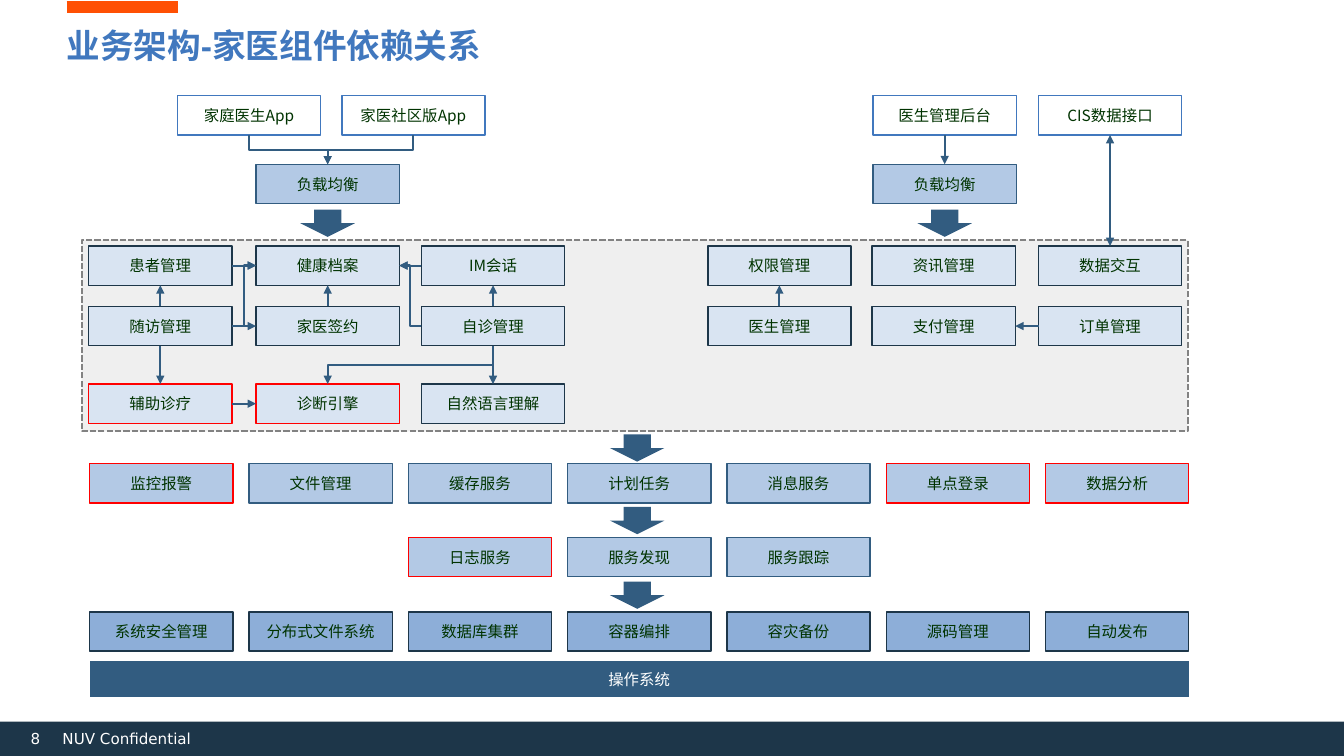
import dataclasses

import pptx
import pptx.dml.color
import pptx.enum.dml
import pptx.enum.shapes
import pptx.enum.text
import pptx.oxml
import pptx.oxml.ns
import pptx.util

SHAPES = pptx.enum.shapes.MSO_SHAPE
CONNECTORS = pptx.enum.shapes.MSO_CONNECTOR
ANCHORS = pptx.enum.text.MSO_ANCHOR
ALIGNMENTS = pptx.enum.text.PP_ALIGN

PX = 9144  # EMU; 100 px to the inch
SLIDE_WIDTH, SLIDE_HEIGHT = 1333, 750
BOX_WIDTH, BOX_HEIGHT = 142, 39

CLIENT_COLUMNS = [176, 339, 866, 1030]
MODULE_COLUMNS = [88, 254, 418, 702, 865, 1030]
SERVICE_COLUMNS = [89 + 158 * index for index in range(7)]


@dataclasses.dataclass(frozen=True)
class Theme:
    title: str = "4178BE"
    accent: str = "FF5004"
    navy: str = "1D3649"
    steel: str = "325C80"
    white: str = "FFFFFF"
    panel: str = "EFEFEF"
    panel_line: str = "828282"
    module: str = "D9E4F2"
    service: str = "B3C9E5"
    platform: str = "8DAED8"
    critical: str = "FF0000"
    box_text: str = "003300"
    title_font: str = "Arial"
    body_font: str = "Noto Sans CJK SC"
    footer_font: str = "DejaVu Sans"
    title_size: float = 24
    body_size: float = 11
    footer_size: float = 10.8


THEME = Theme()

CRITICAL = {"辅助诊疗", "诊断引擎", "监控报警", "单点登录", "数据分析", "日志服务"}

# Each row: top, fill, outline, column positions, labels
ROWS = [
    (95, THEME.white, THEME.title, CLIENT_COLUMNS,
     ["家庭医生App", "家医社区版App", "医生管理后台", "CIS数据接口"]),
    (244, THEME.module, THEME.navy, MODULE_COLUMNS,
     ["患者管理", "健康档案", "IM会话", "权限管理", "资讯管理", "数据交互"]),
    (304, THEME.module, THEME.navy, MODULE_COLUMNS,
     ["随访管理", "家医签约", "自诊管理", "医生管理", "支付管理", "订单管理"]),
    (381, THEME.module, THEME.navy, MODULE_COLUMNS,
     ["辅助诊疗", "诊断引擎", "自然语言理解"]),
    (460, THEME.service, THEME.steel, SERVICE_COLUMNS,
     ["监控报警", "文件管理", "缓存服务", "计划任务", "消息服务", "单点登录", "数据分析"]),
    (533, THEME.service, THEME.steel, SERVICE_COLUMNS[2:],
     ["日志服务", "服务发现", "服务跟踪"]),
    (607, THEME.platform, THEME.navy, SERVICE_COLUMNS,
     ["系统安全管理", "分布式文件系统", "数据库集群", "容器编排", "容灾备份", "源码管理", "自动发布"]),
]

LINKS = [
    ("患者管理", "right", "健康档案", "left"),
    ("随访管理", "right", "健康档案", "left"),
    ("随访管理", "right", "家医签约", "left"),
    ("随访管理", "top", "患者管理", "bottom"),
    ("随访管理", "bottom", "辅助诊疗", "top"),
    ("辅助诊疗", "right", "诊断引擎", "left"),
    ("家医签约", "top", "健康档案", "bottom"),
    ("IM会话", "left", "健康档案", "right"),
    ("自诊管理", "left", "健康档案", "right"),
    ("自诊管理", "top", "IM会话", "bottom"),
    ("自诊管理", "bottom", "诊断引擎", "top"),
    ("自诊管理", "bottom", "自然语言理解", "top"),
    ("医生管理", "top", "权限管理", "bottom"),
    ("订单管理", "left", "支付管理", "right"),
]

BLOCK_ARROWS = [(298, 208), (910, 208), (605, 431), (605, 503), (605, 577)]


def rgb(color):
    return pptx.dml.color.RGBColor.from_string(color)


def format_runs(paragraph, font_name, size, color, bold=False):
    for run in paragraph.runs:
        run.font.name = font_name
        run.font.size = pptx.util.Pt(size)
        run.font.bold = bold
        run.font.color.rgb = rgb(color)
        east_asian = pptx.oxml.ns.qn("a:ea")
        run.font._element.append(run.font._element.makeelement(
            east_asian, {"typeface": THEME.body_font}))


def clear_margins(text_frame):
    text_frame.margin_left = text_frame.margin_right = 0
    text_frame.margin_top = text_frame.margin_bottom = 0


def add_block(slide, kind, left, top, width, height, fill, outline=None, weight=1):
    shape = slide.shapes.add_shape(kind, left * PX, top * PX, width * PX, height * PX)
    shape.shadow.inherit = False
    shape.fill.solid()
    shape.fill.fore_color.rgb = rgb(fill)
    if outline:
        shape.line.color.rgb = rgb(outline)
        shape.line.width = pptx.util.Pt(weight)
    else:
        shape.line.fill.background()
    return shape


def add_box(slide, text, left, top, fill, outline, width=BOX_WIDTH,
            height=BOX_HEIGHT, color=THEME.box_text, weight=1):
    box = add_block(slide, SHAPES.ROUNDED_RECTANGLE, left, top, width, height,
                    fill, outline, weight)
    box.adjustments[0] = 0
    clear_margins(box.text_frame)
    box.text_frame.vertical_anchor = ANCHORS.MIDDLE
    box.text_frame.text = text
    paragraph = box.text_frame.paragraphs[0]
    paragraph.alignment = ALIGNMENTS.CENTER
    format_runs(paragraph, THEME.body_font, THEME.body_size, color)
    return box


def add_line(slide, kind, start, end, color, weight, arrowheads=()):
    connector = slide.shapes.add_connector(kind, *map(round, start + end))
    connector.line.color.rgb = rgb(color)
    connector.line.width = pptx.util.Pt(weight)
    properties = connector.element.spPr
    outline = properties.find(pptx.oxml.ns.qn("a:ln"))
    for arrowhead in arrowheads:
        outline.append(outline.makeelement(
            pptx.oxml.ns.qn("a:" + arrowhead), {"type": "triangle"}))
    properties.append(properties.makeelement(pptx.oxml.ns.qn("a:effectLst"), {}))
    return connector


def side_point(shape, side):
    across, down = {"left": (0, 0.5), "right": (1, 0.5),
                    "top": (0.5, 0), "bottom": (0.5, 1)}[side]
    return shape.left + across * shape.width, shape.top + down * shape.height


def link(slide, source, source_side, target, target_side, arrowheads=("tailEnd",)):
    """Join two boxes, with an elbow when their sides do not face each other."""
    start, end = side_point(source, source_side), side_point(target, target_side)
    run, drop = end[0] - start[0], end[1] - start[1]
    bent = min(abs(run), abs(drop)) > 5 * PX
    turned = bent and source_side in ("top", "bottom")
    if turned:  # an elbow leaves sideways, so lay it flat and turn it by 90 degrees
        middle_x, middle_y = (start[0] + end[0]) / 2, (start[1] + end[1]) / 2
        start = (middle_x - drop / 2, middle_y + run / 2)
        end = (middle_x + drop / 2, middle_y - run / 2)
    kind = CONNECTORS.ELBOW if bent else CONNECTORS.STRAIGHT
    connector = add_line(slide, kind, start, end, THEME.steel, 1.5, arrowheads)
    if turned:
        connector.element.spPr.find(pptx.oxml.ns.qn("a:xfrm")).set("rot", "5400000")


def add_title(slide, text):
    title = slide.shapes.title
    title.left, title.top, title.width, title.height = 66 * PX, 26 * PX, 1200 * PX, 45 * PX
    frame = title.text_frame
    clear_margins(frame)
    frame.auto_size = pptx.enum.text.MSO_AUTO_SIZE.NONE
    frame.vertical_anchor = ANCHORS.TOP
    frame.text = text
    paragraph = frame.paragraphs[0]
    paragraph.alignment = ALIGNMENTS.LEFT
    paragraph.line_spacing = pptx.util.Pt(27.6)
    format_runs(paragraph, THEME.title_font, THEME.title_size, THEME.title, bold=True)


def add_footer_text(slide, text, left, width, alignment):
    frame = slide.shapes.add_textbox(left * PX, 718 * PX, width * PX, 24 * PX).text_frame
    clear_margins(frame)
    frame.word_wrap = True
    frame.vertical_anchor = ANCHORS.BOTTOM
    frame.text = text
    frame.paragraphs[0].alignment = alignment
    format_runs(frame.paragraphs[0], THEME.footer_font, THEME.footer_size, THEME.white)


def main():
    presentation = pptx.Presentation()
    presentation.slide_width = SLIDE_WIDTH * PX
    presentation.slide_height = SLIDE_HEIGHT * PX
    slide = presentation.slides.add_slide(presentation.slide_layouts[5])

    add_line(slide, CONNECTORS.STRAIGHT, (66 * PX, 7 * PX), (177 * PX, 7 * PX),
             THEME.accent, 8)
    add_block(slide, SHAPES.RECTANGLE, 0, 716, SLIDE_WIDTH, 34, THEME.navy)
    add_footer_text(slide, "8", 17, 23, ALIGNMENTS.RIGHT)
    add_footer_text(slide, "NUV Confidential", 62, 210, ALIGNMENTS.LEFT)
    add_title(slide, "业务架构-家医组件依赖关系")

    panel = add_block(slide, SHAPES.RECTANGLE, 81, 238, 1097, 190,
                      THEME.panel, THEME.panel_line, 1.5)
    panel.line.dash_style = pptx.enum.dml.MSO_LINE.SQUARE_DOT

    boxes = {}
    for top, fill, outline, columns, labels in ROWS:
        for left, label in zip(columns, labels):
            border = THEME.critical if label in CRITICAL else outline
            boxes[label] = add_box(slide, label, left, top, fill, border)
    app_balancer, admin_balancer = [
        add_box(slide, "负载均衡", left, 163, THEME.service, THEME.steel)
        for left in (254, 866)]
    add_box(slide, "操作系统", 88, 655, THEME.steel, THEME.white, 1092, 38,
            THEME.white, 1.5)

    for source, source_side, target, target_side in LINKS:
        link(slide, boxes[source], source_side, boxes[target], target_side)
    for client, balancer in [("家庭医生App", app_balancer), ("家医社区版App", app_balancer),
                             ("医生管理后台", admin_balancer)]:
        link(slide, boxes[client], "bottom", balancer, "top")
    link(slide, boxes["CIS数据接口"], "bottom", boxes["数据交互"], "top",
         ("headEnd", "tailEnd"))

    for left, top in BLOCK_ARROWS:
        add_block(slide, SHAPES.DOWN_ARROW, left, top, 54, 27, THEME.steel)

    presentation.save("out.pptx")


if __name__ == "__main__":
    main()
